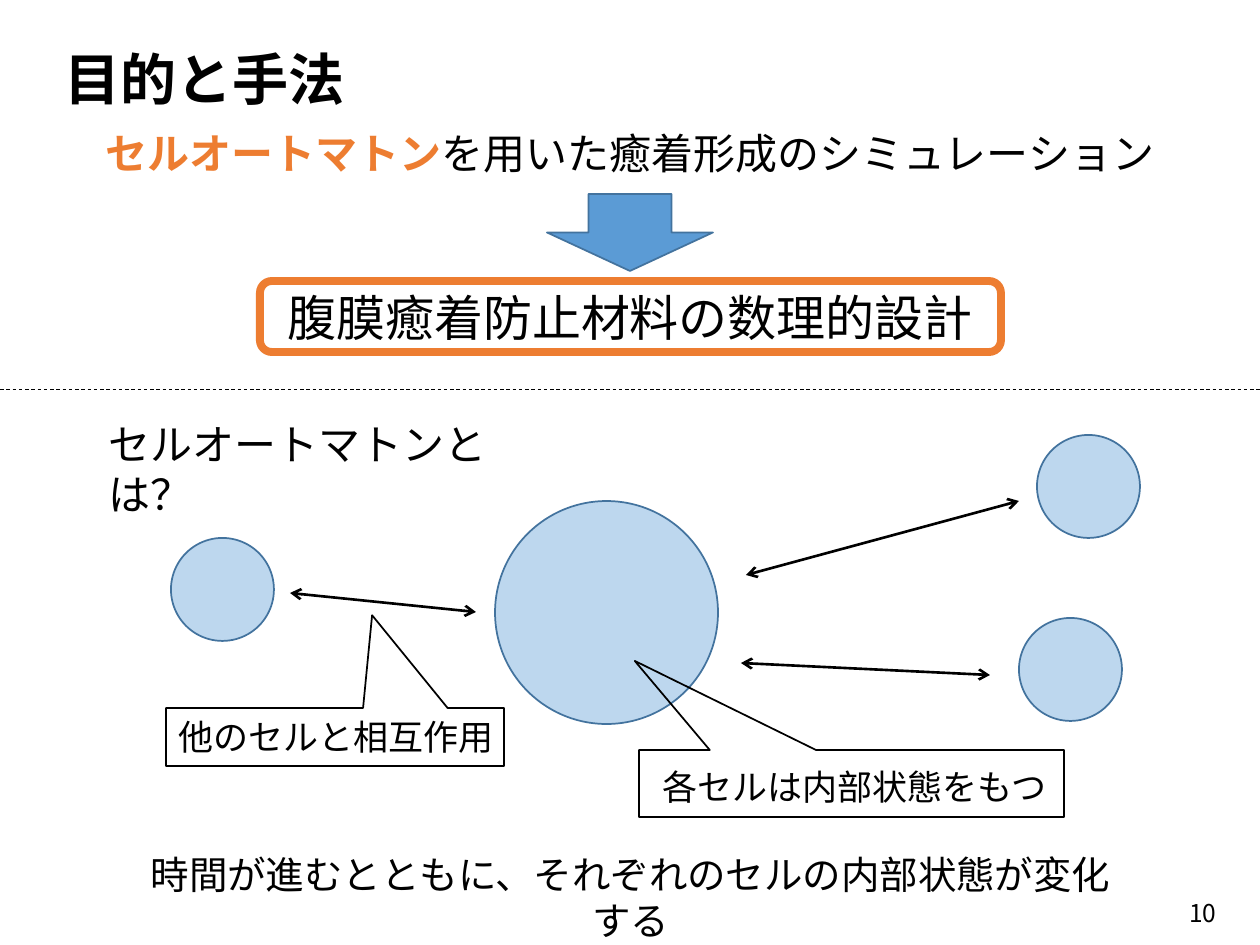
import pptx
import pptx.util
import pptx.dml.color
import pptx.enum.dml
import pptx.enum.shapes
import pptx.enum.text
import pptx.oxml.ns
import pptx.oxml.xmlchemy

RGB = pptx.dml.color.RGBColor
SHAPE = pptx.enum.shapes.MSO_SHAPE
ALIGN = pptx.enum.text.PP_ALIGN
ANCHOR = pptx.enum.text.MSO_ANCHOR
new_element = pptx.oxml.xmlchemy.OxmlElement

BLACK = RGB(0x00, 0x00, 0x00)
WHITE = RGB(0xFF, 0xFF, 0xFF)
ORANGE = RGB(0xED, 0x7D, 0x31)
BLUE = RGB(0x5B, 0x9B, 0xD5)
DARK_BLUE = RGB(0x43, 0x73, 0x9E)
PALE_BLUE = RGB(0xBD, 0xD7, 0xEE)

FONT = "Noto Sans CJK JP"
EMU_PER_PX = 914400 / 126


def px(*values):
    return [pptx.util.Emu(round(v * EMU_PER_PX)) for v in values]


class Page:
    def __init__(self, prs):
        self.s = prs.slides.add_slide(prs.slide_layouts[6])

    def fill_text(self, sp, runs, size, align=ALIGN.LEFT, anchor=ANCHOR.TOP):
        """Each run is (text, colour, bold)."""
        tf = sp.text_frame
        tf.word_wrap = True
        tf.vertical_anchor = anchor
        p = tf.paragraphs[0]
        p.alignment = align
        for text, color, bold in runs:
            r = p.add_run()
            r.text = text
            r.font.name = FONT
            r.font.size = pptx.util.Pt(size)
            r.font.bold = bold
            r.font.color.rgb = color
            ea = new_element("a:ea")
            ea.set("typeface", FONT)
            r.font._element.find(pptx.oxml.ns.qn("a:latin")).addnext(ea)

    def text(self, box, runs, size, **layout):
        if isinstance(runs, str):
            runs = [(runs, BLACK, False)]
        self.fill_text(self.s.shapes.add_textbox(*px(*box)), runs, size, **layout)

    def shape(self, kind, box, fill=None, line=None, width=1, adj=()):
        sp = self.s.shapes.add_shape(kind, *px(*box))
        sp.shadow.inherit = False
        if fill is None:
            sp.fill.background()
        else:
            sp.fill.solid()
            sp.fill.fore_color.rgb = fill
        if line is None:
            sp.line.fill.background()
        else:
            sp.line.color.rgb = line
            sp.line.width = pptx.util.Pt(width)
        for i, value in enumerate(adj):
            sp.adjustments[i] = value
        return sp

    def cell(self, x, y, d):
        self.shape(SHAPE.FLOWCHART_CONNECTOR, (x, y, d, d), PALE_BLUE, DARK_BLUE)

    def line(self, ends, width, arrows=False, dash=None):
        cn = self.s.shapes.add_connector(
            pptx.enum.shapes.MSO_CONNECTOR.STRAIGHT, *px(*ends))
        cn.line.color.rgb = BLACK
        cn.line.width = pptx.util.Pt(width)
        if dash:
            cn.line.dash_style = dash
        if arrows:
            for tag in ("a:headEnd", "a:tailEnd"):
                end = new_element(tag)
                end.set("type", "arrow")
                cn.line._get_or_add_ln().append(end)
        cn._element.spPr.append(new_element("a:effectLst"))


def main():
    prs = pptx.Presentation()
    prs.slide_width, prs.slide_height = px(1260, 945)
    page = Page(prs)

    # Page number and title
    page.text((945, 888, 284, 50), "10", 14, align=ALIGN.RIGHT, anchor=ANCHOR.MIDDLE)
    page.text((52, 38, 309, 81), [("目的と手法", BLACK, True)], 32)

    # Purpose: method, arrow, goal
    goal = page.shape(SHAPE.RECTANGLE, (0, 281, 1260, 72), WHITE)
    page.fill_text(goal, [("腹膜癒着防止材料の数理的設計", BLACK, False)], 28, ALIGN.CENTER)
    page.text((0, 121, 1260, 63),
              [("セルオートマトン", ORANGE, True),
               ("を用いた癒着形成のシミュレーション", BLACK, False)],
              24, align=ALIGN.CENTER)
    page.shape(SHAPE.DOWN_ARROW, (547, 194, 166, 77), BLUE, DARK_BLUE)

    # Cells and their interactions
    page.text((96, 412, 435, 63), "セルオートマトンとは？", 24)
    for x, y, d in ((171, 538, 103), (1019, 618, 103), (1037, 435, 103), (495, 501, 223)):
        page.cell(x, y, d)
    for ends in ((290, 593, 476, 612), (746, 575, 1019, 501), (741, 663, 990, 675)):
        page.line(ends, 1.5, arrows=True)

    # Callouts
    callouts = (
        ((166, 708, 338, 58), (0.11, -2.1), (166, 709, 344, 55), "他のセルと相互作用"),
        ((639, 750, 425, 67), (-0.51, -1.83), (650, 759, 412, 55), "各セルは内部状態をもつ"),
    )
    for box, adj, label_box, label in callouts:
        page.shape(SHAPE.RECTANGULAR_CALLOUT, box, line=BLACK, adj=adj)
        page.text(label_box, label, 20)

    # Conclusion
    page.text((121, 845, 1019, 59),
              "時間が進むとともに、それぞれのセルの内部状態が変化する",
              22, align=ALIGN.CENTER)

    # Goal frame and divider
    page.shape(SHAPE.ROUNDED_RECTANGLE, (260, 281, 741, 71), line=ORANGE, width=4.5)
    page.line((0, 389, 1260, 389), 0.5, dash=pptx.enum.dml.MSO_LINE.DASH)

    prs.save("out.pptx")


if __name__ == "__main__":
    main()
